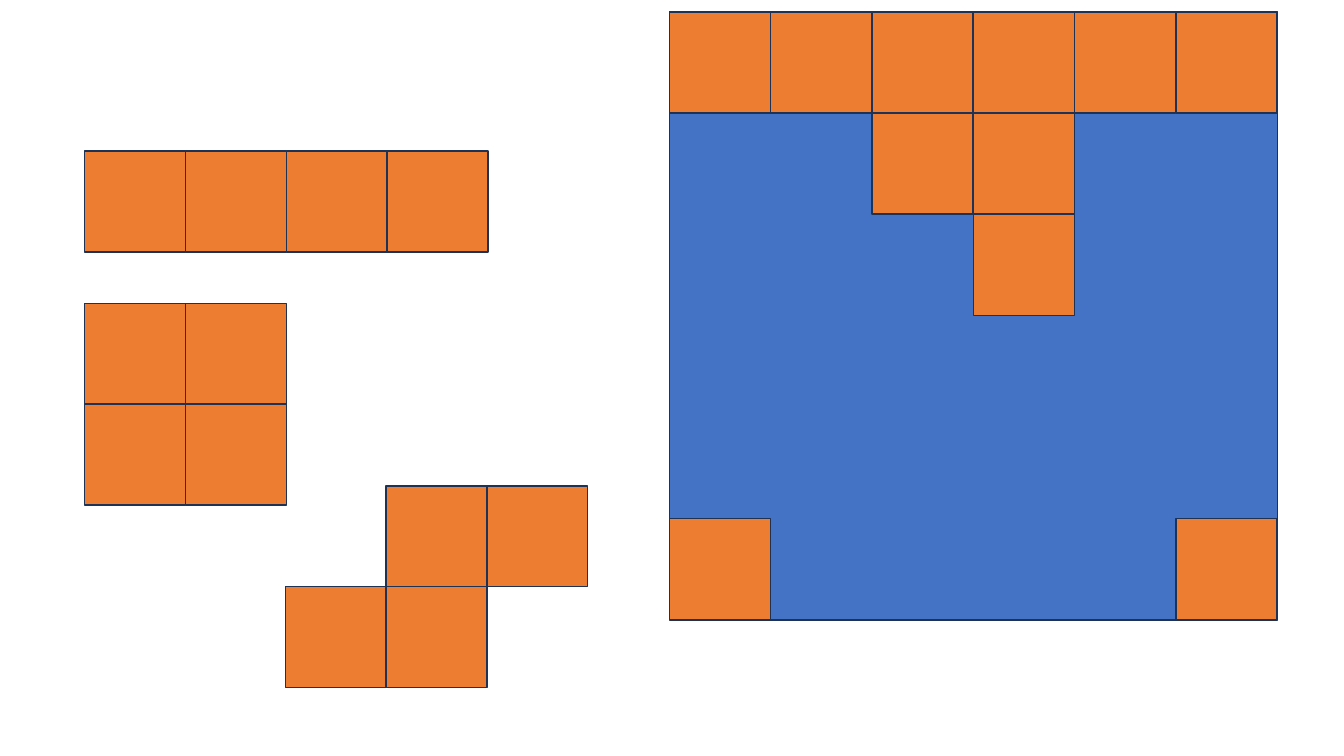
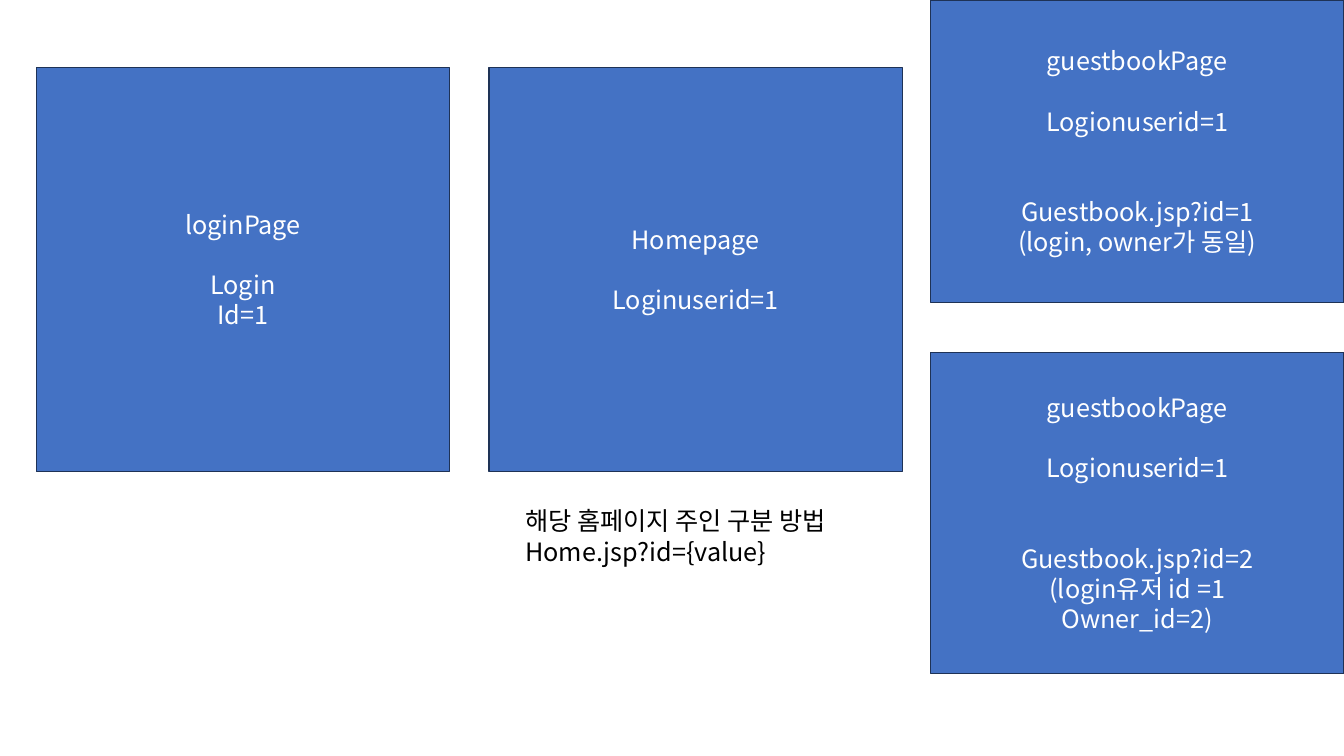
"""Build a tile board slide and a page flow slide."""
import dataclasses

import pptx
import pptx.dml.color
import pptx.enum.shapes
import pptx.enum.text
import pptx.oxml.ns
import pptx.util
from lxml import etree

Inches = pptx.util.Inches
Pt = pptx.util.Pt
ALIGN = pptx.enum.text.PP_ALIGN
ANCHOR = pptx.enum.text.MSO_ANCHOR


@dataclasses.dataclass(frozen=True)
class Theme:
    """Hold the colours, font and sizes of the slides."""
    blue: str = "4472C4"
    orange: str = "ED7D31"
    edge: str = "1E3256"
    white: str = "FFFFFF"
    black: str = "000000"
    font: str = "Noto Sans CJK KR"
    size: float = 18
    pitch: float = 21.5
    line: float = 1


THEME = Theme()
TILE = 1
BOARD = (6.64, 0.12, 6.03)
STEP = BOARD[2] / 6
PIECES = [
    (0.84, 1.5, [(0, 0), (1, 0), (2, 0), (3, 0)]),
    (0.84, 3.01, [(0, 0), (1, 0), (0, 1), (1, 1)]),
    (2.83, 4.82, [(1, 0), (2, 0), (0, 1), (1, 1)]),
]
FILLED = [(col, 0) for col in range(6)] + [(2, 1), (3, 1), (3, 2), (0, 5), (5, 5)]
GUEST = [(0, "guestbookPage"), (1, "Logionuserid=1")]
PAGES = [
    (0.36, 0.67, 4.01, [(0, "loginPage"), (1, "Login"), (0, "Id=1")]),
    (4.85, 0.67, 4.01, [(0, "Homepage"), (1, "Loginuserid=1")]),
    (9.23, 0, 3, GUEST + [(2, "Guestbook.jsp?id=1"), (0, "(login, owner가 동일)")]),
    (9.23, 3.5, 3.18, GUEST + [(2, "Guestbook.jsp?id=2"),
                               (0, "(login유저 id =1"), (0, "Owner_id=2)")]),
]
NOTE = [(0, "해당 홈페이지 주인 구분 방법"), (0, "Home.jsp?id={value}")]


def color(code):
    """Turn a hex code into a colour."""
    return pptx.dml.color.RGBColor.from_string(code)


def box(slide, left, top, width, height, fill):
    """Add an outlined rectangle."""
    shape = slide.shapes.add_shape(
        pptx.enum.shapes.MSO_SHAPE.RECTANGLE,
        Inches(left), Inches(top), Inches(width), Inches(height))
    shape.shadow.inherit = False
    shape.fill.solid()
    shape.fill.fore_color.rgb = color(fill)
    shape.line.color.rgb = color(THEME.edge)
    shape.line.width = Pt(THEME.line)
    return shape


def tiles(slide, left, top, step, cells):
    """Add square tiles at the given columns and rows."""
    for col, row in cells:
        box(slide, left + col * step, top + row * step, TILE, TILE, THEME.orange)


def write(shape, lines, ink, align, anchor):
    """Write lines, each led by its count of empty lines."""
    frame = shape.text_frame
    frame.word_wrap = True
    frame.vertical_anchor = anchor
    for index, (gap, text) in enumerate(lines):
        para = frame.add_paragraph() if index else frame.paragraphs[0]
        para.alignment = align
        para.line_spacing = Pt(THEME.pitch)
        para.space_before = Pt(gap * THEME.pitch)
        run = para.add_run()
        run.text = text
        run.font.size = Pt(THEME.size)
        run.font.color.rgb = color(ink)
        run.font.name = THEME.font
        east = etree.SubElement(run.font._element, pptx.oxml.ns.qn("a:ea"))
        east.set("typeface", THEME.font)


def board(slide):
    """Draw the loose pieces and the board."""
    left, top, side = BOARD
    box(slide, left, top, side, side, THEME.blue)
    for x, y, cells in PIECES:
        tiles(slide, x, y, TILE, cells)
    tiles(slide, left, top, STEP, FILLED)


def flow(slide):
    """Draw the page boxes and the note."""
    for left, top, height, lines in PAGES:
        page = box(slide, left, top, 4.1, height, THEME.blue)
        write(page, lines, THEME.white, ALIGN.CENTER, ANCHOR.MIDDLE)
    note = slide.shapes.add_textbox(
        Inches(5.11), Inches(4.97), Inches(3.59), Inches(0.71))
    write(note, NOTE, THEME.black, ALIGN.LEFT, ANCHOR.TOP)


def main():
    """Build and save the slides."""
    deck = pptx.Presentation()
    deck.slide_width = Inches(13.33)
    deck.slide_height = Inches(7.5)
    for draw in (board, flow):
        draw(deck.slides.add_slide(deck.slide_layouts[6]))
    deck.save("out.pptx")


if __name__ == "__main__":
    main()
